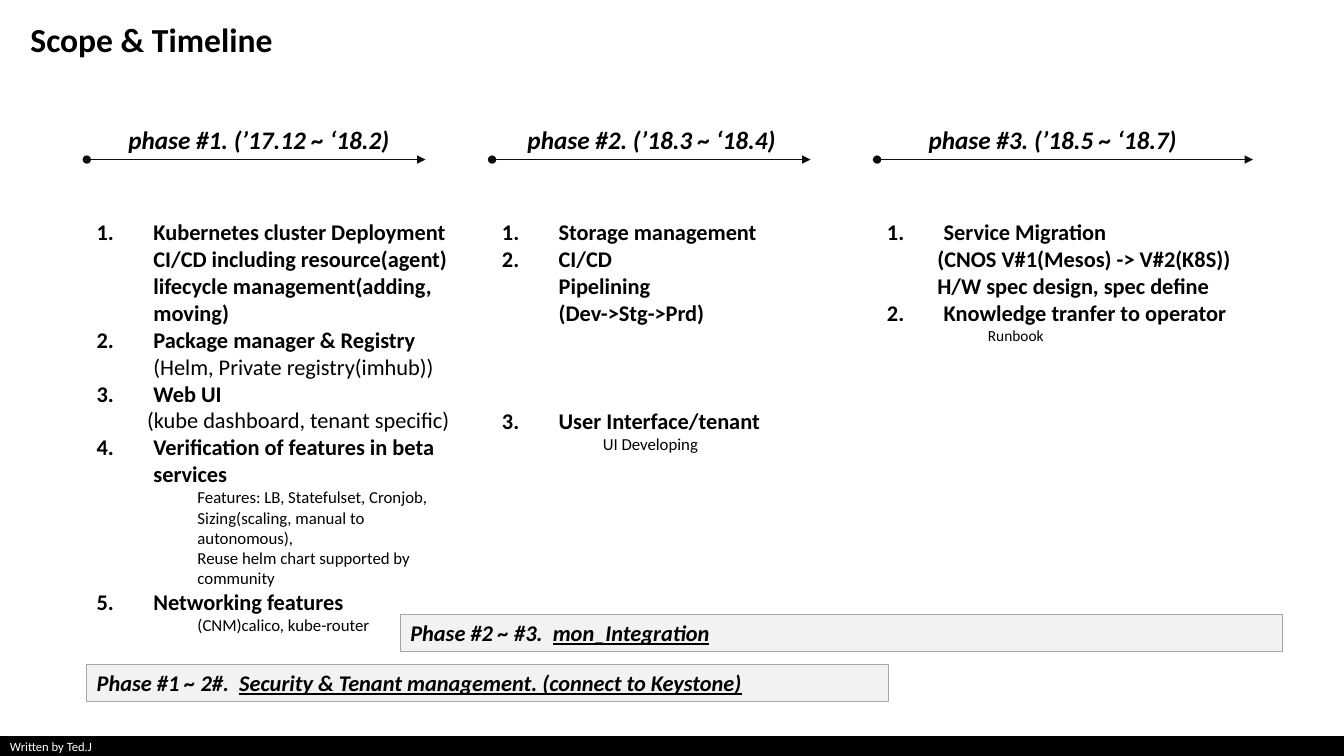
from pptx import Presentation
from pptx.dml.color import RGBColor
from pptx.enum.shapes import MSO_CONNECTOR as CONNECTOR, MSO_SHAPE as SHAPE
from pptx.enum.text import MSO_ANCHOR as ANCHOR, PP_ALIGN as ALIGN
from pptx.oxml.ns import qn
from pptx.util import Pt
from lxml.etree import SubElement

BLACK = RGBColor(0, 0, 0)
WHITE = RGBColor(255, 255, 255)
ARROW = RGBColor(0x0D, 0x0D, 0x0D)
PALE = RGBColor(0xF2, 0xF2, 0xF2)
EDGE = RGBColor(0xA6, 0xA6, 0xA6)

ITEM_INDENT = 40.5
STRONG = {"size": Pt(16), "bold": True}
PLAIN = {"size": Pt(16), "bold": False}
SMALL = {"size": Pt(12), "bold": False}
TITLE = {"size": Pt(24), "bold": True}
PHASE = {"size": Pt(18), "bold": True, "italic": True}
BAND = {"size": Pt(16), "bold": True, "italic": True}
CREDIT = {"size": Pt(9), "bold": False}

KINDS = {
    "item": (ITEM_INDENT, STRONG),
    "more": (ITEM_INDENT, STRONG),
    "aside": (ITEM_INDENT, PLAIN),
    "outer": (36, STRONG),
    "outer aside": (36, PLAIN),
    "detail": (72, SMALL),
    "fine detail": (72, {**SMALL, "size": Pt(11)}),
}

PHASES = [
    {"heading": "phase #1. (’17.12 ~ ‘18.2)", "middle": 185, "left": 62, "arrow": 242, "width": 273.5,
     "tasks": [
         ("item", "Kubernetes cluster Deployment CI/CD including resource(agent) "
                  "lifecycle management(adding, moving)", 0),
         ("item", "Package manager & Registry", 0),
         ("aside", "(Helm, Private registry(imhub))", 0),
         ("item", "Web UI", 0),
         ("outer aside", "(kube dashboard, tenant specific)", 0),
         ("item", "Verification of features in beta services", 0),
         ("detail", "Features: LB, Statefulset, Cronjob,", 0),
         ("detail", "Sizing(scaling, manual to autonomous),", 0),
         ("detail", "Reuse helm chart supported by community", 0),
         ("item", "Networking features", 0),
         ("detail", "(CNM)calico, kube-router", 0)]},
    {"heading": "phase #2. (’18.3 ~ ‘18.4)", "middle": 465.5, "left": 351.5, "arrow": 227.5, "width": 227.5,
     "tasks": [
         ("item", "Storage management", 0),
         ("item", "CI/CD", 0),
         ("more", "Pipelining", 0),
         ("more", "(Dev->Stg->Prd)", 0),
         ("item", "User Interface/tenant", 58),
         ("detail", "UI Developing", 0)]},
    {"heading": "phase #3. (’18.5 ~ ‘18.7)", "middle": 752, "left": 626.5, "arrow": 268.5, "width": 288,
     "tasks": [
         ("item", "Service Migration", 0),
         ("outer", "(CNOS V#1(Mesos) -> V#2(K8S))", 0),
         ("outer", "H/W spec design, spec define", 0),
         ("item", "Knowledge tranfer to operator", 0),
         ("fine detail", "Runbook", 0)]},
]

BANDS = [
    ("Phase #1 ~ 2#.  ", "Security & Tenant management. (connect to Keystone)", (62, 474.5, 572.5, 26.5)),
    ("Phase #2 ~ #3.  ", "mon_Integration", (286, 439, 630, 26.5)),
]


def write(paragraph, text, style, color=BLACK):
    run = paragraph.add_run()
    run.text = text
    for key, value in {"name": "Calibri", **style}.items():
        setattr(run.font, key, value)
    run.font.color.rgb = color


def add_text_frame(slide, left, top, width, height):
    frame = slide.shapes.add_textbox(Pt(left), Pt(top), Pt(width), Pt(height)).text_frame
    frame.word_wrap = True
    return frame


def add_box(slide, box, fill, edge, weight):
    shape = slide.shapes.add_shape(SHAPE.RECTANGLE, *map(Pt, box))
    shape.shadow.inherit = False
    shape.fill.solid()
    shape.fill.fore_color.rgb = fill
    shape.line.color.rgb = edge
    shape.line.width = Pt(weight)
    paragraph = shape.text_frame.paragraphs[0]
    paragraph.alignment = ALIGN.LEFT
    return shape.text_frame, paragraph


def add_title(slide, left, top, width, height):
    title = slide.shapes.title
    box = {"left": left, "top": top, "width": width, "height": height}
    for key, value in box.items():
        setattr(title, key, Pt(value))
    title.text_frame.vertical_anchor = ANCHOR.TOP
    paragraph = title.text_frame.paragraphs[0]
    paragraph.alignment = ALIGN.LEFT
    write(paragraph, "Scope & Timeline", TITLE)


def add_arrow(slide, left, top, width):
    arrow = slide.shapes.add_connector(CONNECTOR.STRAIGHT, Pt(left), Pt(top), Pt(left + width), Pt(top))
    arrow.line.color.rgb = ARROW
    arrow.line.width = Pt(1)
    line = arrow.line._get_or_add_ln()
    for end, form in (("a:headEnd", "oval"), ("a:tailEnd", "triangle")):
        SubElement(line, qn(end), type=form)
    SubElement(arrow._element.spPr, qn("a:effectLst"))


def add_tasks(frame, tasks):
    number = 0
    for index, (kind, text, gap) in enumerate(tasks):
        paragraph = frame.add_paragraph() if index else frame.paragraphs[0]
        paragraph.space_before = Pt(gap)
        indent, style = KINDS[kind]
        properties = paragraph._p.get_or_add_pPr()
        properties.set("marL", str(Pt(indent)))
        properties.set("indent", "0")
        if kind == "item":
            number += 1
            properties.set("indent", str(-Pt(indent)))
            SubElement(properties, qn("a:buFont"), typeface="+mj-lt")
            SubElement(properties, qn("a:buAutoNum"), type="arabicPeriod", startAt=str(number))
        write(paragraph, text, style)


def add_phase(slide, phase, top):
    heading = add_text_frame(slide, phase["middle"] - 101, top, 202, 29).paragraphs[0]
    heading.alignment = ALIGN.CENTER
    write(heading, phase["heading"], PHASE)
    add_arrow(slide, phase["left"], top + 29, phase["arrow"])
    add_tasks(add_text_frame(slide, phase["left"], top + 67.5, phase["width"], 307), phase["tasks"])


def add_band(slide, span, topic, box):
    frame, paragraph = add_box(slide, box, PALE, EDGE, 0.75)
    frame.vertical_anchor = ANCHOR.TOP
    write(paragraph, span, BAND)
    write(paragraph, topic, {**BAND, "underline": True})


def add_footer(slide, left, top, width, height):
    frame, paragraph = add_box(slide, (left, top, width, height), BLACK, BLACK, 1)
    frame.vertical_anchor = ANCHOR.MIDDLE
    frame.margin_top = frame.margin_bottom = 0
    write(paragraph, "Written by Ted.J", CREDIT, WHITE)


def main():
    deck = Presentation()
    deck.slide_width, deck.slide_height = Pt(960), Pt(540)
    slide = deck.slides.add_slide(deck.slide_layouts[5])
    add_footer(slide, 0, 526.5, 960, 13.5)
    add_title(slide, 14.5, 10, 930, 36)
    for phase in PHASES:
        add_phase(slide, phase, 85)
    for span, topic, box in BANDS:
        add_band(slide, span, topic, box)
    deck.save("out.pptx")


if __name__ == "__main__":
    main()
